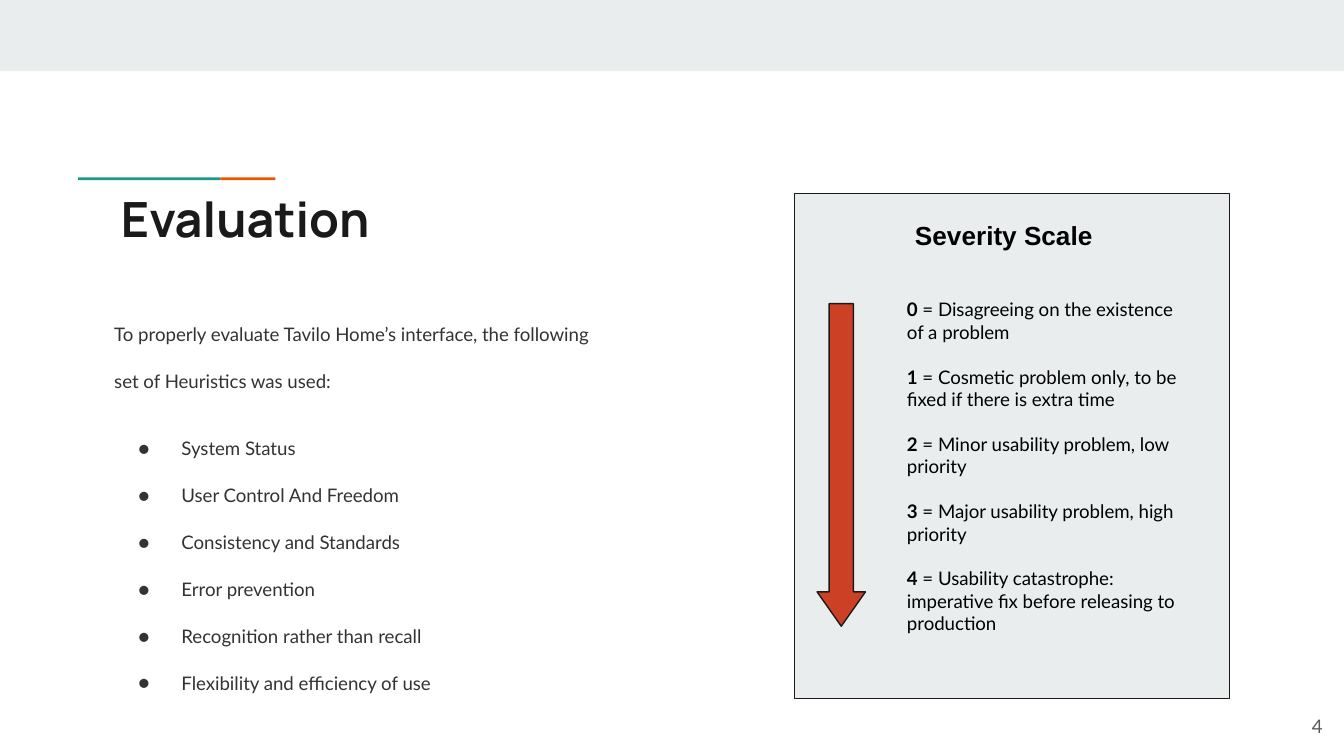
from lxml import etree
from pptx import Presentation
from pptx.dml.color import RGBColor
from pptx.enum.shapes import MSO_SHAPE as SHAPE
from pptx.enum.text import MSO_ANCHOR as ANCHOR, MSO_AUTO_SIZE as AUTO, PP_ALIGN as ALIGN
from pptx.oxml.ns import qn
from pptx.util import Inches, Pt

COLORS = {
    "panel": "E9EDEE", "orange": "EB5600", "green": "1A9988", "ink": "1A1A1A",
    "body": "333333", "black": "000000", "grey": "595959", "arrow": "CC4125",
}
HEURISTICS = [
    "System Status", "User Control And Freedom", "Consistency and Standards",
    "Error prevention", "Recognition rather than recall",
    "Flexibility and efficiency of use",
]
SEVERITIES = [
    "Disagreeing on the existence of a problem",
    "Cosmetic problem only, to be fixed if there is extra time",
    "Minor usability problem, low priority",
    "Major usability problem, high priority",
    "Usability catastrophe: imperative fix before releasing to production",
]


class SlideBuilder:
    """Holds the style and the current slide, and adds elements to it."""

    def __init__(self, slide, font="Lato", size=10):
        self.slide, self.font, self.size = slide, font, size

    def color(self, name):
        return RGBColor.from_string(COLORS[name])

    def shape(self, kind, box, fill, line=None):
        sp = self.slide.shapes.add_shape(kind, *map(Inches, box))
        sp.shadow.inherit = False
        sp.fill.solid()
        sp.fill.fore_color.rgb = self.color(fill)
        if line:
            sp.line.color.rgb = self.color(line)
            sp.line.width = Pt(0.75)
        else:
            sp.line.fill.background()
        return sp

    def frame(self, sp, anchor=ANCHOR.TOP):
        tf = sp.text_frame
        tf.word_wrap = True
        tf.auto_size = AUTO.NONE
        tf.vertical_anchor = anchor
        tf.margin_left = tf.margin_right = Inches(0.1)
        tf.margin_top = tf.margin_bottom = Inches(0.1)
        return tf

    def textbox(self, box, anchor=ANCHOR.TOP):
        return self.frame(self.slide.shapes.add_textbox(*map(Inches, box)), anchor)

    def placeholder(self, index, box):
        sp = self.slide.placeholders[index]
        sp.left, sp.top, sp.width, sp.height = map(Inches, box)
        return self.frame(sp)

    def paragraph(self, tf, first=False, align=ALIGN.LEFT, before=0, spacing=1.0):
        p = tf.paragraphs[0] if first else tf.add_paragraph()
        p.alignment = align
        p.space_before = Pt(before)
        p.line_spacing = spacing
        return p

    def run(self, p, text, color, bold=False, size=None, font=None):
        r = p.add_run()
        r.text = text
        r.font.name = font or self.font
        r.font.size = Pt(size or self.size)
        r.font.bold = bold
        r.font.color.rgb = self.color(color)

    def bullet(self, p, char=None, color="body"):
        pPr = p._p.get_or_add_pPr()
        pPr.set("marL", str(Inches(0.5 if char else 0)))
        pPr.set("indent", str(Inches(-0.32 if char else 0)))
        if char:
            clr = etree.SubElement(pPr, qn("a:buClr"))
            etree.SubElement(clr, qn("a:srgbClr"), val=COLORS[color])
            etree.SubElement(pPr, qn("a:buFont"), typeface=self.font)
            etree.SubElement(pPr, qn("a:buChar"), char=char)
        else:
            etree.SubElement(pPr, qn("a:buNone"))


def main():
    prs = Presentation()
    prs.slide_width, prs.slide_height = Inches(10), Inches(10 * 9 / 16)
    s = SlideBuilder(prs.slides.add_slide(prs.slide_layouts[1]))

    s.shape(SHAPE.RECTANGLE, (0, 0, 10, 0.53), "panel")
    s.shape(SHAPE.RECTANGLE, (0.58, 1.32, 1.06, 0.02), "green")
    s.shape(SHAPE.RECTANGLE, (1.64, 1.32, 0.41, 0.02), "orange")

    tf = s.placeholder(0, (0.8, 1.31, 8.41, 0.59))
    s.run(s.paragraph(tf, True), "Evaluation", "ink", True, 26, "Manrope")

    tf = s.placeholder(1, (0.75, 2.12, 3.82, 2.4))
    p = s.paragraph(tf, True, spacing=2.09)
    s.bullet(p)
    s.run(p, "To properly evaluate Tavilo Home’s interface, "
             "the following set of Heuristics was used:", "body")
    for i, heuristic in enumerate(HEURISTICS):
        p = s.paragraph(tf, before=0 if i else 11, spacing=2.09)
        s.bullet(p, "●")
        s.run(p, heuristic, "body")

    s.shape(SHAPE.RECTANGLE, (5.91, 1.44, 3.24, 3.76), "panel", "ink")
    tf = s.textbox((6.71, 1.53, 1.64, 0.36))
    s.run(s.paragraph(tf, True), "Severity Scale", "black", True, 14, "Arial")

    tf = s.textbox((6.65, 2.12, 2.28, 2.76))
    for level, meaning in enumerate(SEVERITIES):
        p = s.paragraph(tf, level == 0, before=12 if level else 0)
        s.run(p, str(level), "black", True)
        s.run(p, f" = {meaning}", "black")

    tf = s.textbox((9.34, 5.19, 0.6, 0.43), ANCHOR.MIDDLE)
    s.run(s.paragraph(tf, True, ALIGN.RIGHT), "4", "grey")

    arrow = s.shape(SHAPE.DOWN_ARROW, (6.08, 2.26, 0.36, 2.4), "arrow", "ink")
    arrow.adjustments[0], arrow.adjustments[1] = 0.5, 0.71

    prs.save("out.pptx")


if __name__ == "__main__":
    main()
